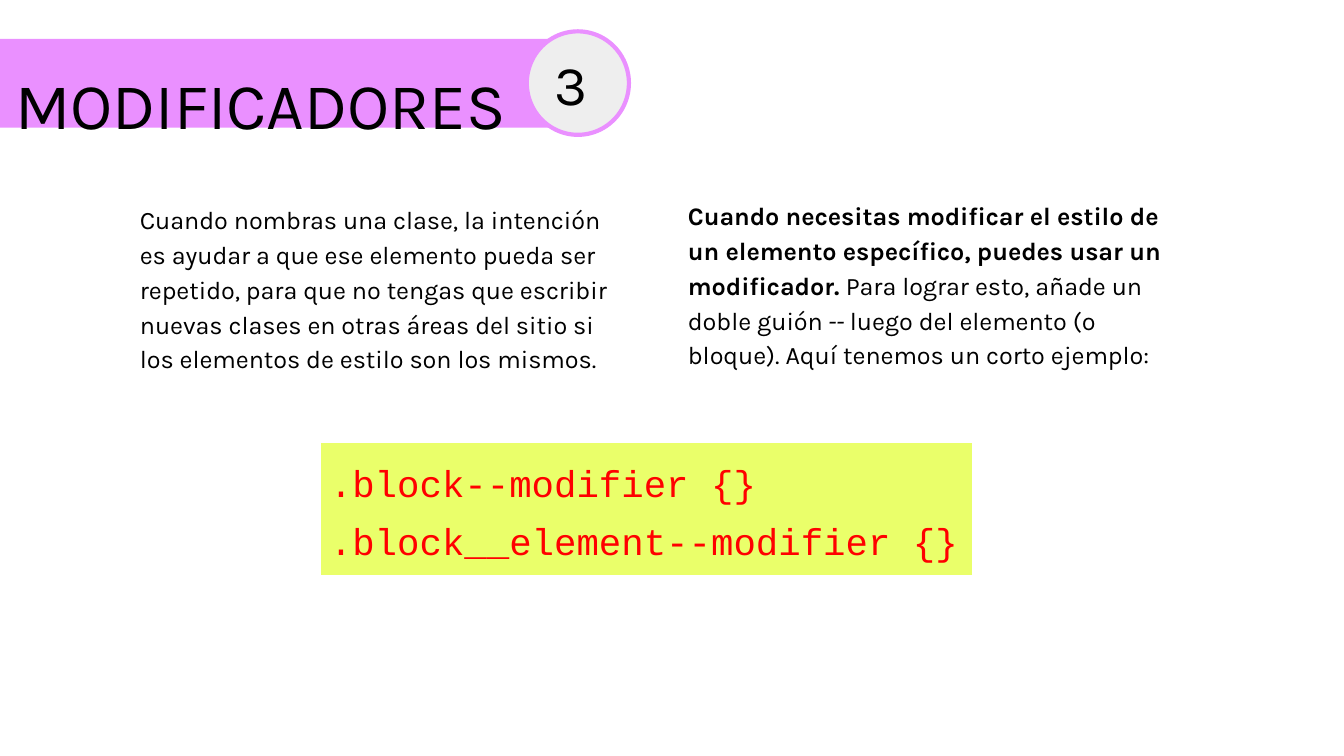
from pptx import Presentation
from pptx.dml.color import RGBColor
from pptx.enum.shapes import MSO_SHAPE
from pptx.enum.text import MSO_ANCHOR, MSO_AUTO_SIZE, PP_ALIGN
from pptx.oxml import parse_xml
from pptx.oxml.ns import nsdecls
from pptx.util import Inches, Pt

WIDTH = Inches(10)
HEIGHT = WIDTH * 9 // 16
BLACK, WHITE, RED = "000000", "FFFFFF", "FF0000"
PINK, LIME, GREY = "EA90FF", "EAFF6A", "EEEEEE"
BODY_FONT, CODE_FONT = "Karla", "Courier New"


def color(value):
    return RGBColor.from_string(value)


def area(left, top, width, height):
    """Turn percentages of the slide into a position and size."""
    return [round(share * side / 100) for share, side in
            zip((left, top, width, height), (WIDTH, HEIGHT) * 2)]


def paint(element, value):
    element.fill.solid()
    element.fill.fore_color.rgb = color(value)


def set_frame(frame, anchor=MSO_ANCHOR.TOP, inset_top=0.1):
    frame.word_wrap = True
    frame.auto_size = MSO_AUTO_SIZE.NONE
    frame.vertical_anchor = anchor
    frame.margin_left = frame.margin_right = frame.margin_bottom = Inches(0.1)
    frame.margin_top = Inches(inset_top)


def write(para, spans, size, font=BODY_FONT, ink=BLACK, align=PP_ALIGN.LEFT, spacing=1.15):
    """Add (text, style) spans; a style is "", "bold" or "italic"."""
    para.alignment = align
    para.line_spacing = spacing
    para.space_before = Pt(0)
    for text, style in spans:
        span = para.add_run()
        span.text = text
        span.font.name = font
        span.font.size = Pt(size)
        span.font.bold = style == "bold"
        span.font.italic = style == "italic"
        span.font.color.rgb = color(ink)


def add_title(page, text):
    title = page.shapes.title
    title.left, title.top, title.width, title.height = area(-2, 5.16, 42.8, 11.73)
    paint(title, PINK)
    set_frame(title.text_frame, MSO_ANCHOR.MIDDLE, inset_top=0.31)
    write(title.text_frame.paragraphs[0], [(text, "")], 35, align=PP_ALIGN.CENTER)


def add_number(page, text):
    circle = page.shapes.add_shape(MSO_SHAPE.OVAL, *area(39.2, 4.15, 7.6, 13.69))
    circle.shadow.inherit = False
    paint(circle, GREY)
    circle.line.color.rgb = color(PINK)
    circle.line.width = Pt(2.25)
    set_frame(circle.text_frame, MSO_ANCHOR.MIDDLE)
    write(circle.text_frame.paragraphs[0], [(text, "")], 30, spacing=1.0)


def add_text(page, place, spans, inset_top=0.1):
    box = page.shapes.add_textbox(*area(*place))
    set_frame(box.text_frame, inset_top=inset_top)
    write(box.text_frame.paragraphs[0], spans, 13.5)


def add_borders(cell):
    properties = cell._tc.get_or_add_tcPr()
    for position, side in enumerate(("lnL", "lnR", "lnT", "lnB")):
        properties.insert(position, parse_xml(
            f'<a:{side} {nsdecls("a")} w="{Pt(0.75)}"><a:solidFill>'
            f'<a:srgbClr val="{WHITE}"/></a:solidFill></a:{side}>'))


def add_code_table(page, lines):
    table = page.shapes.add_table(2, 1, *area(23.85, 58.49, 48.5, 22.76)).table
    table.first_row = table.horz_banding = False
    for row, height in zip(table.rows, (0.92, 0.36)):
        row.height = Inches(height)
        row.cells[0].fill.background()
        add_borders(row.cells[0])
    code = table.cell(0, 0)
    paint(code, LIME)
    code.margin_left = code.margin_right = Inches(0.07)
    code.margin_top = code.margin_bottom = Inches(0.07)
    frame = code.text_frame
    for index, line in enumerate(lines):
        para = frame.add_paragraph() if index else frame.paragraphs[0]
        write(para, [(line, "")], 20, CODE_FONT, RED, PP_ALIGN.JUSTIFY, 1.36)


def main():
    deck = Presentation()
    deck.slide_width, deck.slide_height = WIDTH, HEIGHT
    page = deck.slides.add_slide(deck.slide_layouts[5])

    # Heading bar with its number
    add_title(page, "MODIFICADORES")
    add_number(page, "3")

    # Two columns of explanation
    add_text(page, (9.43, 20.98, 38.6, 47.47), [
        ("Cuando nombras una clase, la intención es ayudar a que ese elemento "
         "pueda ser repetido, para que no tengas que escribir nuevas clases en "
         "otras áreas del sitio si los elementos de estilo son los mismos.", "")],
        inset_top=0.31)
    add_text(page, (50.2, 24.18, 37.8, 37.51), [
        ("Cuando necesitas modificar el estilo de un elemento específico, "
         "puedes usar un modificador.", "bold"),
        (" Para lograr esto, añade un doble guión", ""),
        (" --", "italic"),
        (" luego del elemento (o bloque). Aquí tenemos un corto ejemplo:", "")])

    # Code sample
    add_code_table(page, [".block--modifier {}", ".block__element--modifier {}"])

    deck.save("out.pptx")


if __name__ == "__main__":
    main()
